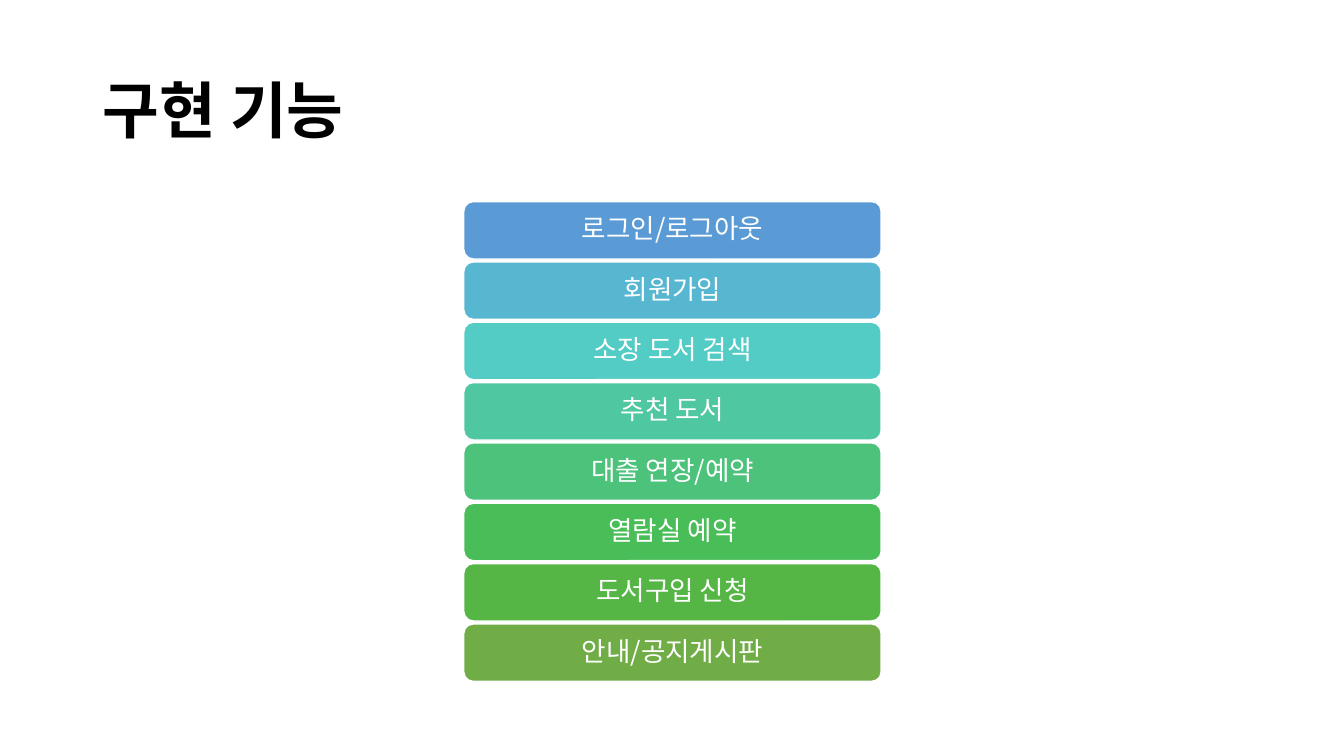
from dataclasses import dataclass

from lxml.etree import SubElement
from pptx import Presentation
from pptx.dml.color import RGBColor
from pptx.enum.shapes import MSO_SHAPE as Shape
from pptx.enum.text import MSO_ANCHOR as Anchor, PP_ALIGN as Align
from pptx.oxml.ns import qn
from pptx.util import Inches, Pt


@dataclass(frozen=True)
class Theme:
    """Colours, font and type sizes of the slide."""
    font: str = "Noto Sans CJK KR"
    title_size: float = 44
    feature_size: float = 19
    black: str = "000000"
    white: str = "FFFFFF"
    bars: tuple = ("5B9BD5", "57B7D1", "53CCC5", "4FC7A0",
                   "4CC27B", "48BD58", "55B646", "70AD47")


THEME = Theme()
FEATURES = ("로그인/로그아웃", "회원가입", "소장 도서 검색", "추천 도서",
            "대출 연장/예약", "열람실 예약", "도서구입 신청", "안내/공지게시판")


def write_text(shape, text, *, size, color, bold=False, align=Align.LEFT, space_after=0):
    """Write one formatted, vertically centred paragraph into a shape."""
    frame = shape.text_frame
    frame.word_wrap = True
    frame.vertical_anchor = Anchor.MIDDLE
    paragraph = frame.paragraphs[0]
    paragraph.alignment = align
    paragraph.line_spacing = 0.9
    paragraph.space_after = Pt(space_after)
    run = paragraph.add_run()
    run.text = text
    font = run.font
    font.size, font.bold, font.name = Pt(size), bold, THEME.font
    font.color.rgb = RGBColor.from_string(color)
    SubElement(run._r.get_or_add_rPr(), qn("a:ea"), typeface=THEME.font)


def place_title(slide, text, left, top, width, height):
    """Place the title placeholder in the given box."""
    title = slide.shapes.title
    title.left, title.top = Inches(left), Inches(top)
    title.width, title.height = Inches(width), Inches(height)
    write_text(title, text, size=THEME.title_size, color=THEME.black, bold=True)


def add_feature_bar(slide, text, fill, left, top, width, height):
    """Add one rounded bar with its feature name."""
    bar = slide.shapes.add_shape(Shape.ROUNDED_RECTANGLE, Inches(left), Inches(top),
                                 Inches(width), Inches(height))
    bar.shadow.inherit = False
    bar.fill.solid()
    bar.fill.fore_color.rgb = RGBColor.from_string(fill)
    bar.line.color.rgb = RGBColor.from_string(THEME.white)
    bar.line.width = Pt(1)
    frame = bar.text_frame
    frame.margin_left = frame.margin_right = Inches(0.08)
    frame.margin_top = frame.margin_bottom = Inches(0.04)
    write_text(bar, text, size=THEME.feature_size, color=THEME.white,
               align=Align.CENTER, space_after=0.35 * THEME.feature_size)


def add_feature_list(slide, features, left, top, width, height, bar_height=0.57):
    """Stack the feature bars evenly over the given box."""
    pitch = (height - bar_height) / (len(features) - 1)
    for index, (feature, fill) in enumerate(zip(features, THEME.bars)):
        add_feature_bar(slide, feature, fill, left, top + index * pitch, width, bar_height)


def main():
    """Build and save the presentation."""
    presentation = Presentation()
    presentation.slide_width, presentation.slide_height = Inches(13.33), Inches(7.5)
    slide = presentation.slides.add_slide(presentation.slide_layouts.get_by_name("Title Only"))
    place_title(slide, "구현 기능", 0.92, 0.4, 11.5, 1.45)
    add_feature_list(slide, FEATURES, 4.6, 2, 4.14, 4.76)
    presentation.save("out.pptx")


if __name__ == "__main__":
    main()
